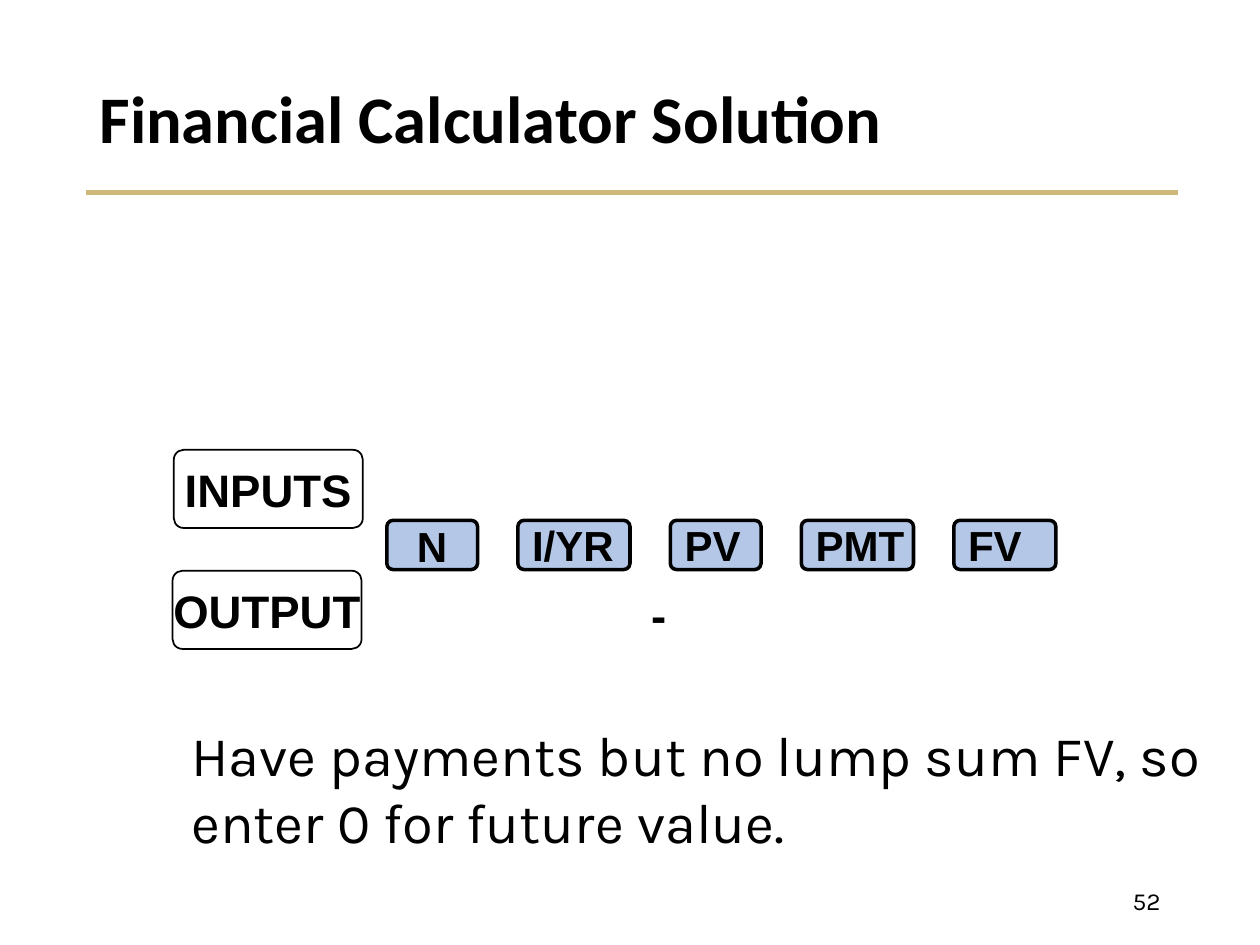
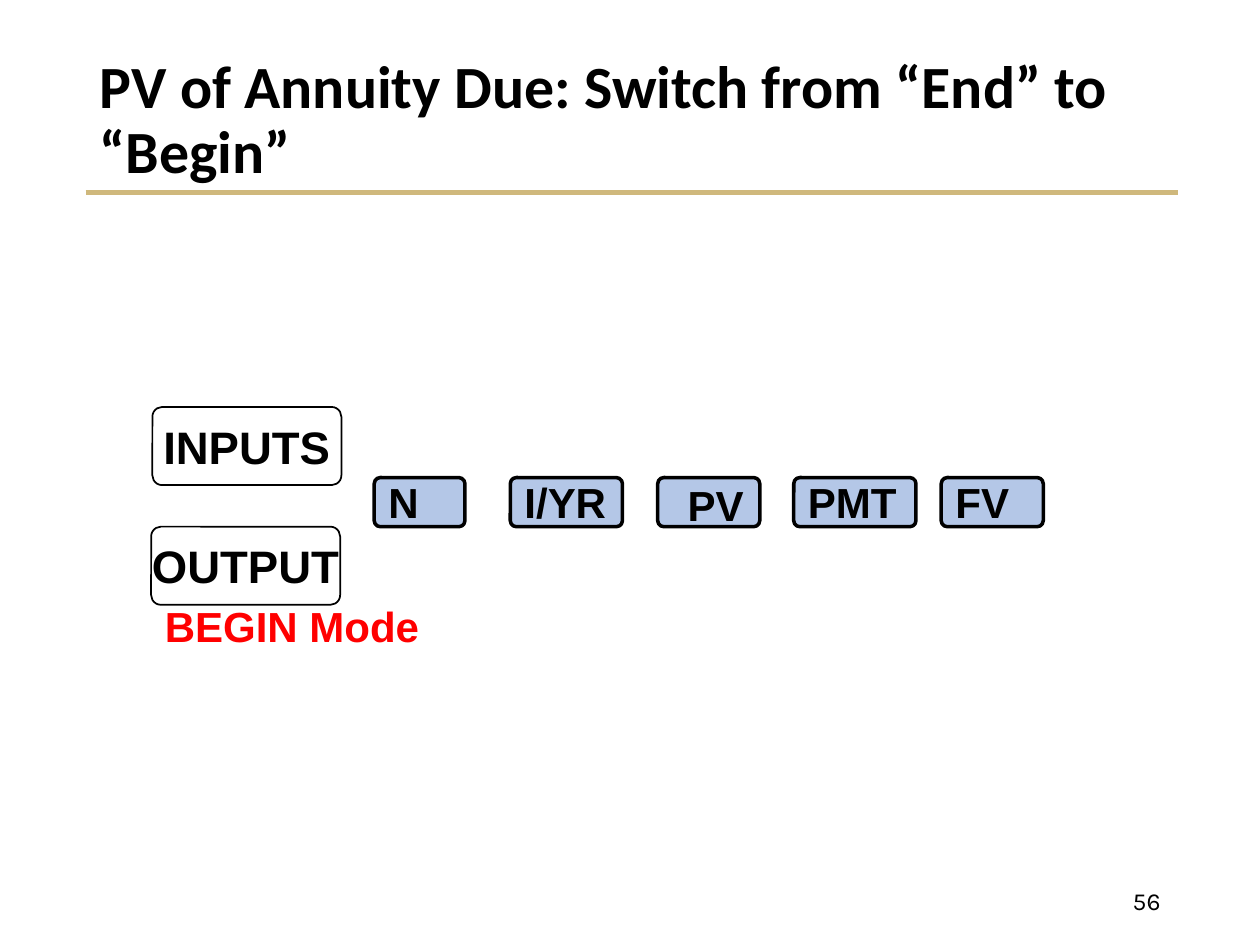
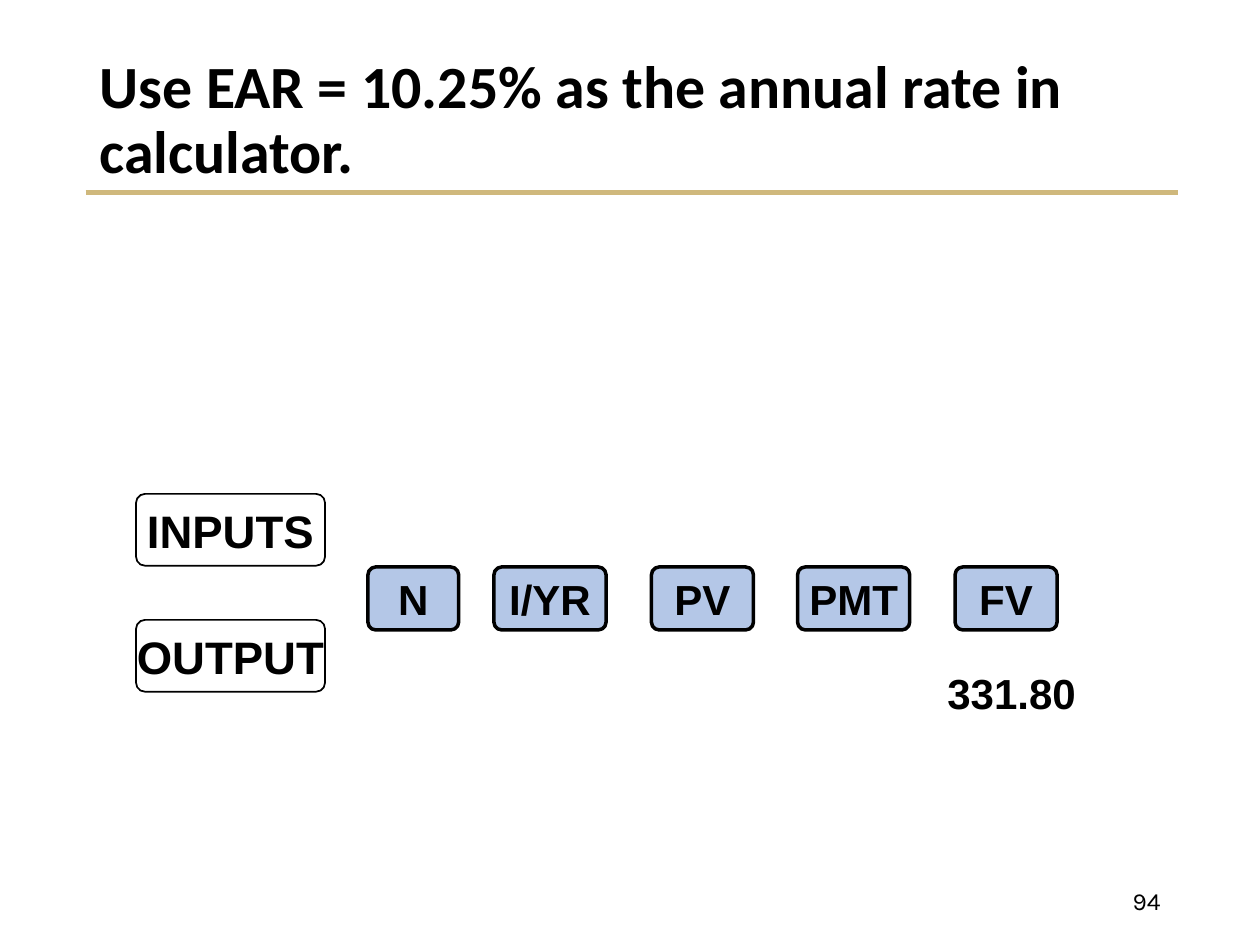
from pptx import Presentation
from pptx.dml.color import RGBColor
from pptx.enum.shapes import MSO_CONNECTOR, MSO_SHAPE
from pptx.enum.text import MSO_ANCHOR, MSO_AUTO_SIZE, PP_ALIGN
from pptx.oxml.ns import qn
from pptx.util import Inches, Pt

BLACK = RGBColor(0x00, 0x00, 0x00)
RED = RGBColor(0xFF, 0x00, 0x00)
GOLD = RGBColor(0xCF, 0xB8, 0x7C)
KEY_BLUE = RGBColor(0xB4, 0xC7, 0xE7)
KEYS = ("N", "I/YR", "PV", "PMT", "FV")


def write(tf, text, font="Arial", size=24, bold=True, color=BLACK,
          align=PP_ALIGN.LEFT, anchor=MSO_ANCHOR.TOP, wrap=False, spacing=None,
          fit=MSO_AUTO_SIZE.NONE):
    tf.word_wrap = wrap
    tf.auto_size = fit
    tf.vertical_anchor = anchor
    p = tf.paragraphs[0]
    p.alignment = align
    if spacing:
        p.line_spacing = spacing
    r = p.add_run()
    r.text = text
    r.font.name = font
    r.font.size = Pt(size)
    r.font.bold = bold
    r.font.color.rgb = color


class Deck:
    def __init__(self):
        self.prs = Presentation()
        self.prs.slide_width = Inches(10)
        self.prs.slide_height = Inches(7.5)
        self.s = None

    def slide(self, title, number, size):
        """Start a slide with its title, gold rule and page number."""
        self.s = self.prs.slides.add_slide(self.prs.slide_layouts[5])
        self.rule()
        sp = self.s.shapes.title
        sp.left, sp.top = Inches(0.69), Inches(0.4)
        sp.width, sp.height = Inches(8.62), Inches(1.13)
        write(sp.text_frame, title, font="Calibri", size=size, wrap=True,
              anchor=MSO_ANCHOR.MIDDLE, spacing=0.9)
        self.text(number, 7.06, 6.95, 2.25, 0.4, font="Karla", size=14, bold=False,
                  align=PP_ALIGN.RIGHT, anchor=MSO_ANCHOR.MIDDLE, wrap=True,
                  fit=MSO_AUTO_SIZE.NONE)

    def rule(self):
        line = self.s.shapes.add_connector(
            MSO_CONNECTOR.STRAIGHT, Inches(0.68), Inches(1.53), Inches(9.35), Inches(1.53))
        line.line.color.rgb = GOLD
        line.line.width = Pt(3)
        props = line._element.spPr
        props.append(props.makeelement(qn("a:effectLst"), {}))

    def text(self, text, left, top, width, height,
             fit=MSO_AUTO_SIZE.SHAPE_TO_FIT_TEXT, **style):
        sp = self.s.shapes.add_textbox(
            Inches(left), Inches(top), Inches(width), Inches(height))
        write(sp.text_frame, text, fit=fit, **style)

    def box(self, text, left, top, width, height, fill=None, line=1, **style):
        sp = self.s.shapes.add_shape(
            MSO_SHAPE.ROUNDED_RECTANGLE,
            Inches(left), Inches(top), Inches(width), Inches(height))
        sp.adjustments[0] = 0.125
        sp.shadow.inherit = False
        if fill is None:
            sp.fill.background()
        else:
            sp.fill.solid()
            sp.fill.fore_color.rgb = fill
        sp.line.color.rgb = BLACK
        sp.line.width = Pt(line)
        if text:
            write(sp.text_frame, text, anchor=MSO_ANCHOR.MIDDLE, **style)

    def key_row(self, top, height, lefts, widths, unlabelled=None, **style):
        """Draw the five calculator keys; the unlabelled one gets a text box later."""
        for key, left, width in zip(KEYS, lefts, widths):
            label = None if key == unlabelled else key
            self.box(label, left, top, width, height, fill=KEY_BLUE, line=2, **style)

    def row_labels(self, inputs_at, output_at, height):
        for text, (left, top) in (("INPUTS", inputs_at), ("OUTPUT", output_at)):
            self.box(text, left, top, 1.5, height, size=26, align=PP_ALIGN.CENTER)


def main():
    deck = Deck()

    deck.slide("Financial Calculator Solution", "52", 38)
    deck.text("Have payments but no lump sum FV, so enter 0 for future value.",
              1.42, 5.67, 8.24, 1.16, font="Karla", size=32, bold=False, wrap=True)
    deck.key_row(4.13, 0.39, (3.07, 4.11, 5.32, 6.36, 7.57),
                 (0.72, 0.89, 0.72, 0.89, 0.81), unlabelled="N")
    deck.text("N", 3.21, 4.08, 0.44, 0.5)
    deck.text("-", 5.07, 4.61, 0.32, 0.54, size=26)
    deck.row_labels((1.38, 3.57), (1.37, 4.53), 0.62)

    deck.slide("PV of Annuity Due: Switch from “End” to “Begin”", "56", 34.2)
    deck.key_row(3.79, 0.39, (2.97, 4.05, 5.22, 6.3, 7.47),
                 (0.72, 0.89, 0.81, 0.97, 0.81), unlabelled="PV")
    deck.text("PV", 5.36, 3.76, 0.66, 0.5)
    deck.row_labels((1.21, 3.23), (1.2, 4.18), 0.62)
    deck.text("BEGIN Mode", 1.21, 4.72, 2.3, 0.51, color=RED, wrap=True)

    deck.slide("Use EAR = 10.25% as the annual rate in calculator.", "94", 34.2)
    deck.key_row(4.5, 0.5, (2.92, 3.92, 5.17, 6.33, 7.58),
                 (0.72, 0.89, 0.81, 0.89, 0.81), align=PP_ALIGN.CENTER)
    deck.row_labels((1.08, 3.92), (1.08, 4.92), 0.57)
    deck.text("331.80", 7.42, 5.25, 1.22, 0.5)

    deck.prs.save("out.pptx")


if __name__ == "__main__":
    main()
